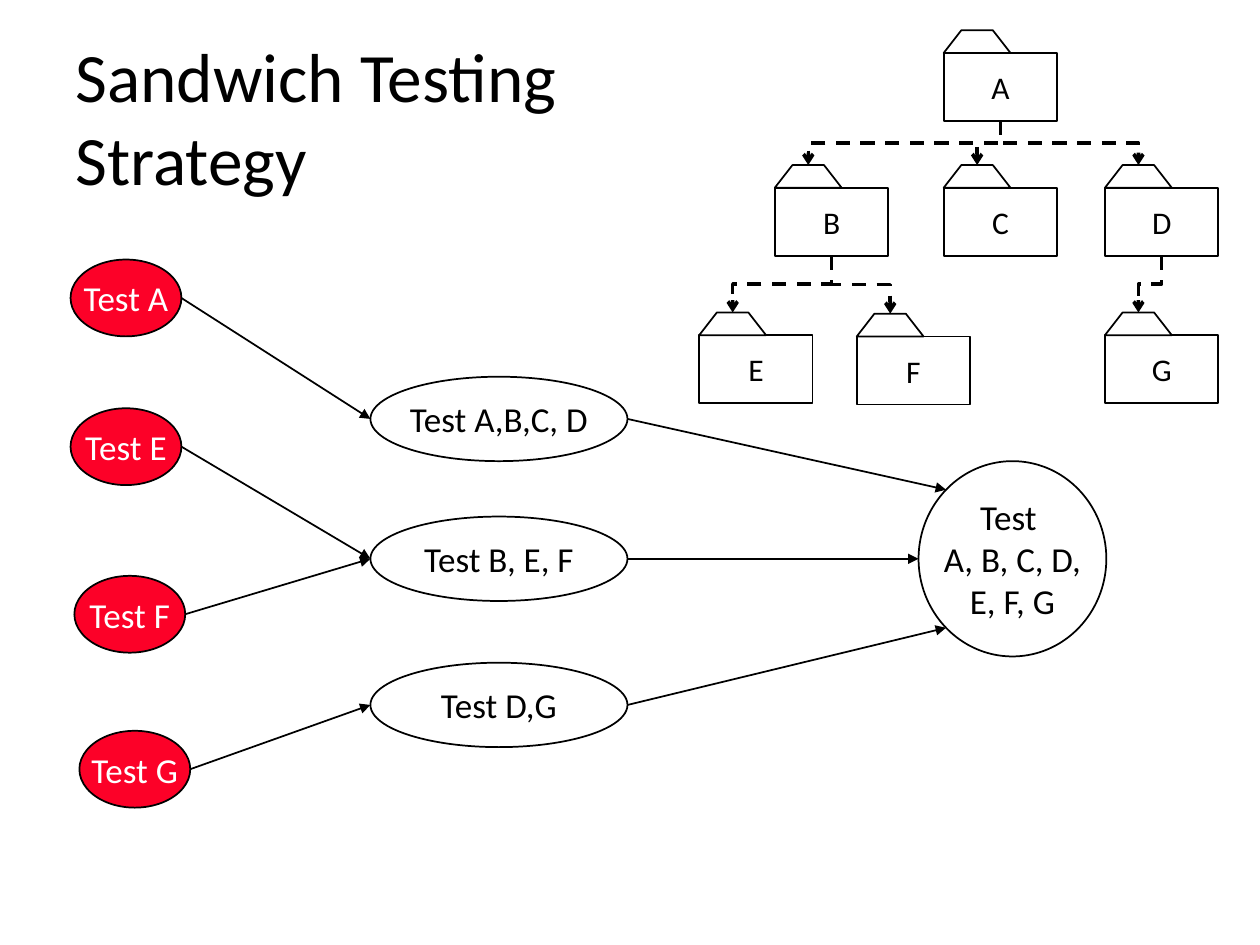
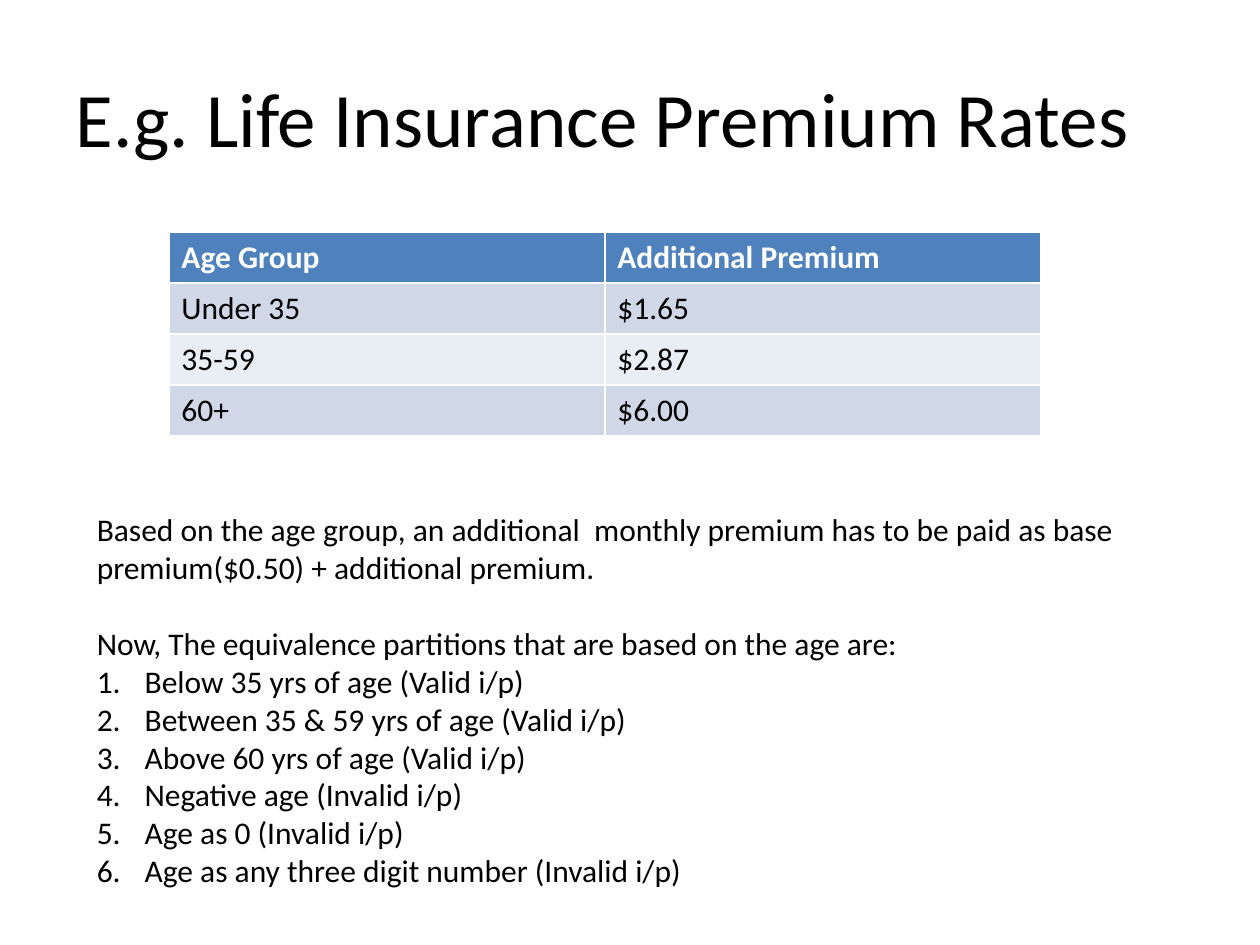
from math import sqrt

from lxml import etree
from pptx import Presentation
from pptx.dml.color import RGBColor
from pptx.enum.dml import MSO_LINE
from pptx.enum.shapes import MSO_CONNECTOR, MSO_SHAPE
from pptx.enum.text import MSO_ANCHOR, MSO_AUTO_SIZE, PP_ALIGN
from pptx.oxml.ns import qn
from pptx.util import Inches, Pt

STRAIGHT, ELBOW = MSO_CONNECTOR.STRAIGHT, MSO_CONNECTOR.ELBOW
OVAL, RECTANGLE = MSO_SHAPE.OVAL, MSO_SHAPE.RECTANGLE
DASH = MSO_LINE.DASH
MIDDLE = MSO_ANCHOR.MIDDLE
LEFT, CENTER = PP_ALIGN.LEFT, PP_ALIGN.CENTER
NO_AUTOFIT = MSO_AUTO_SIZE.NONE

FONT = "Calibri"
BLACK, WHITE, RED = "000000", "FFFFFF", "FC0128"
HEADER_BLUE, BAND_DARK, BAND_LIGHT = "4F81BD", "D0D8E8", "E9EDF4"
colour = RGBColor.from_string


def style_node(node, label, size, fill=WHITE, ink=BLACK):
    """Outline and fill a diagram node and centre its label."""
    node.shadow.inherit = False
    node.fill.solid()
    node.fill.fore_color.rgb = colour(fill)
    node.line.color.rgb = colour(BLACK)
    node.line.width = Pt(1)
    frame = node.text_frame
    frame.text = label
    frame.word_wrap = False
    frame.vertical_anchor = MIDDLE
    for line in frame.paragraphs:
        line.alignment = CENTER
        for key, value in {"name": FONT, "size": Pt(size)}.items():
            setattr(line.font, key, value)
        line.font.color.rgb = colour(ink)


def add_arrow(slide, kind, start, end, width, head):
    ends = [Inches(value) for value in (*start, *end)]
    arrow = slide.shapes.add_connector(kind, *ends)
    arrow.line.color.rgb = colour(BLACK)
    arrow.line.width = Pt(width)
    if kind == ELBOW:
        arrow.line.dash_style = DASH
    properties = arrow._element.spPr
    etree.SubElement(properties.find(qn("a:ln")), qn("a:tailEnd"), type=head)
    etree.SubElement(properties, qn("a:effectLst"))
    return arrow


deck = Presentation()
deck.slide_width, deck.slide_height = Inches(10), Inches(7.5)
title_only = deck.slide_layouts[5]

# Both slides share one title position and style
slides = []
for heading, size in (("Sandwich Testing \vStrategy", 39.6),
                      ("E.g. Life Insurance Premium Rates", 44)):
    slide = deck.slides.add_slide(title_only)
    title = slide.shapes.title
    place = {"left": 0.5, "top": 0.3, "width": 9, "height": 1.25}
    for key, value in place.items():
        setattr(title, key, Inches(value))
    title.text_frame.text = heading
    title.text_frame.auto_size = NO_AUTOFIT
    title.text_frame.vertical_anchor = MIDDLE
    words = title.text_frame.paragraphs[0]
    words.alignment = LEFT
    words.font.name, words.font.size = FONT, Pt(size)
    words.font.color.rgb = colour(BLACK)
    slides.append(slide)
sandwich, premiums = slides

# Test ovals: left, top, width, height, fill, text colour
SINGLE, GROUP, WHOLE = (0.88, 0.61), (2.04, 0.67), (1.49, 1.55)
GROUP_LEFT = 2.94
tests = {
    "Test A": (0.56, 2.06, *SINGLE, RED, WHITE),
    "Test E": (0.56, 3.24, *SINGLE, RED, WHITE),
    "Test F": (0.59, 4.57, *SINGLE, RED, WHITE),
    "Test G": (0.63, 5.8, *SINGLE, RED, WHITE),
    "Test A,B,C, D": (GROUP_LEFT, 2.99, *GROUP, WHITE, BLACK),
    "Test B, E, F": (GROUP_LEFT, 4.1, *GROUP, WHITE, BLACK),
    "Test D,G": (GROUP_LEFT, 5.26, *GROUP, WHITE, BLACK),
    "Test \nA, B, C, D,\nE, F, G": (7.29, 3.66, *WHOLE, WHITE, BLACK),
}
for label, (*box, fill, ink) in tests.items():
    oval = sandwich.shapes.add_shape(OVAL, *map(Inches, box))
    style_node(oval, label, 20, fill, ink)

# Each oval hands over from its right edge
steps = {"Test A": "Test A,B,C, D", "Test E": "Test B, E, F",
         "Test F": "Test B, E, F", "Test G": "Test D,G"}
routes = [(source, (tests[target][0], tests[target][1] + GROUP[1] / 2))
          for source, target in steps.items()]
whole_x, whole_y = 7.29 + WHOLE[0] / 2, 3.66 + WHOLE[1] / 2
diagonal_x, diagonal_y = WHOLE[0] / sqrt(8), WHOLE[1] / sqrt(8)
routes += [("Test A,B,C, D", (whole_x - diagonal_x, whole_y - diagonal_y)),
           ("Test B, E, F", (7.29, whole_y)),
           ("Test D,G", (whole_x - diagonal_x, whole_y + diagonal_y))]
for source, end in routes:
    left, top, width, height = tests[source][:4]
    add_arrow(sandwich, STRAIGHT, (left + width, top + height / 2), end, 1, "triangle")

# Package tree: left and top of each body, on three rows
ROWS = (0.42, 1.49, 2.66)
BODY_W, BODY_H, TAB_W, TAB_H, TAB_SLANT = 0.9, 0.54, 0.53, 0.18, 0.14
packages = {"A": (7.49, ROWS[0]), "B": (6.15, ROWS[1]), "C": (7.49, ROWS[1]),
            "D": (8.77, ROWS[1]), "E": (5.55, ROWS[2]), "F": (6.8, ROWS[2] + 0.01),
            "G": (8.77, ROWS[2])}
for parent, child in ("AB", "BE", "BF", "DG", "AC", "AD"):
    x1, y1 = packages[parent][0] + BODY_W / 2, packages[parent][1] + BODY_H
    x2, y2 = packages[child][0] + TAB_W / 2, packages[child][1] - TAB_H
    # A quarter turn about the centre makes the elbow leave downwards
    mid_x, mid_y = (x1 + x2) / 2, (y1 + y2) / 2
    half_w, half_h = (y2 - y1) / 2, abs(x2 - x1) / 2
    side = 1 if x2 < x1 else -1
    elbow = add_arrow(sandwich, ELBOW, (mid_x - side * half_w, mid_y - half_h),
                      (mid_x + side * half_w, mid_y + half_h), 2, "arrow")
    turn = 90 if side == 1 else 270
    elbow._element.spPr.find(qn("a:xfrm")).set("rot", str(turn * 60000))

for label, (left, top) in packages.items():
    body = sandwich.shapes.add_shape(
        RECTANGLE, *map(Inches, (left, top, BODY_W, BODY_H)))
    style_node(body, label, 18)
    outline = sandwich.shapes.build_freeform(Inches(left), Inches(top), scale=1)
    corners = [(TAB_SLANT, TAB_H), (TAB_W - TAB_SLANT, TAB_H), (TAB_W, 0)]
    outline.add_line_segments(
        [(Inches(left + dx), Inches(top - dy)) for dx, dy in corners])
    style_node(outline.convert_to_shape(), "", 18)

# Premium table
rates = [("Age Group", "Additional Premium"), ("Under 35", "$1.65"),
         ("35-59", "$2.87"), ("60+", "$6.00")]
ROW_H = 0.4
table = premiums.shapes.add_table(
    len(rates), 2, *map(Inches, (1.34, 1.84, 6.92, ROW_H * len(rates)))).table
for row, values in enumerate(rates):
    for column, value in enumerate(values):
        cell = table.cell(row, column)
        cell.text = value
        cell.fill.solid()
        band = BAND_DARK if row % 2 else BAND_LIGHT
        cell.fill.fore_color.rgb = colour(band if row else HEADER_BLUE)
        font = cell.text_frame.paragraphs[0].font
        font.name, font.size, font.bold = FONT, Pt(18), row == 0
        font.color.rgb = colour(BLACK if row else WHITE)

# Explanation with the numbered partitions
intro = ["Based on the age group, an additional  monthly premium has to be paid "
         "as base premium($0.50) + additional premium.",
         "Now, The equivalence partitions that are based on the age are:"]
partitions = ["Below 35 yrs of age (Valid i/p)", "Between 35 & 59 yrs of age (Valid i/p)",
              "Above 60 yrs of age (Valid i/p)", "Negative age (Invalid i/p)",
              "Age as 0 (Invalid i/p)", "Age as any three digit number (Invalid i/p)"]
explanation = premiums.shapes.add_textbox(
    *map(Inches, (0.67, 4, 9.33, 3.13))).text_frame
explanation.word_wrap = True
explanation.text = "\n".join(intro + partitions)
for number, line in enumerate(explanation.paragraphs):
    line.font.name, line.font.size = FONT, Pt(18)
    line.font.color.rgb = colour(BLACK)
    if number >= len(intro):
        numbering = line._p.get_or_add_pPr()
        numbering.set("marL", str(Inches(0.38)))
        numbering.set("indent", str(-Inches(0.38)))
        etree.SubElement(numbering, qn("a:buFont"), typeface="+mj-lt")
        etree.SubElement(numbering, qn("a:buAutoNum"), type="arabicPeriod")
        # Text defaults must follow the numbering
        numbering.append(numbering.find(qn("a:defRPr")))
explanation.paragraphs[1].space_before = Pt(22)

deck.save("out.pptx")
